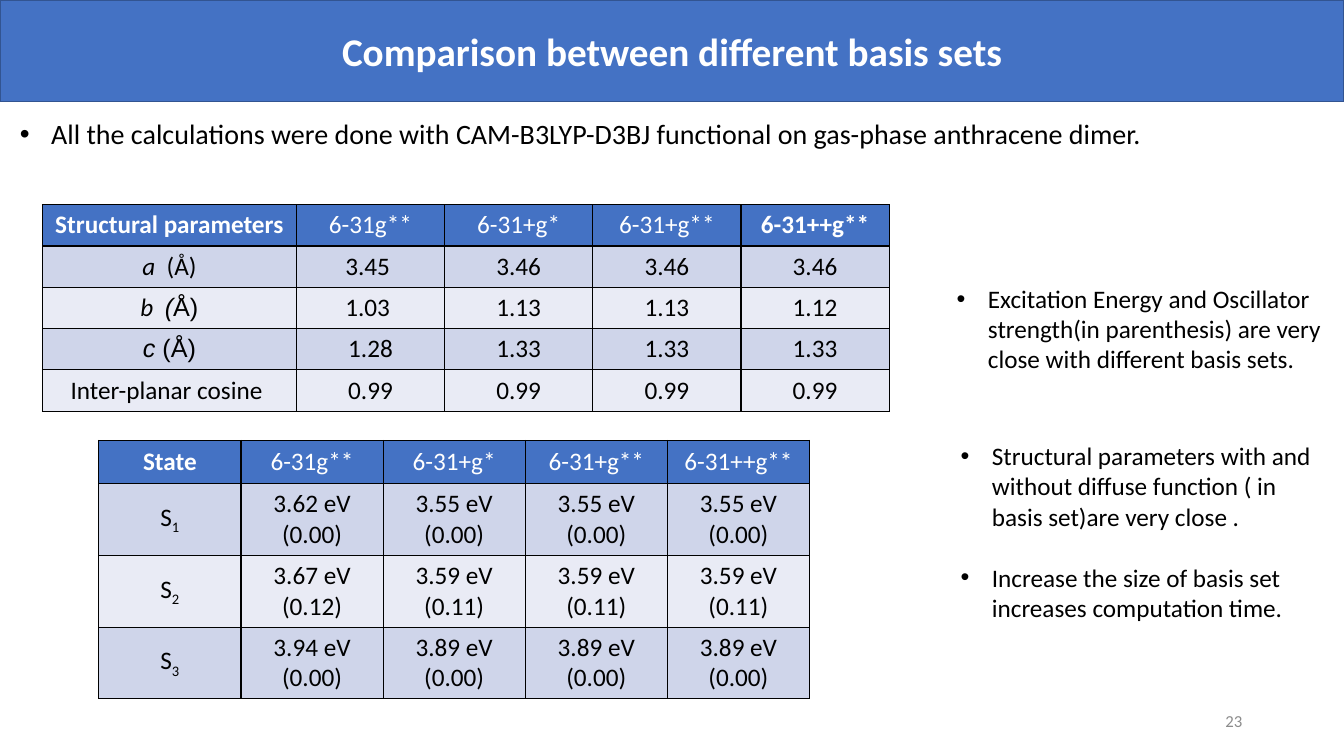
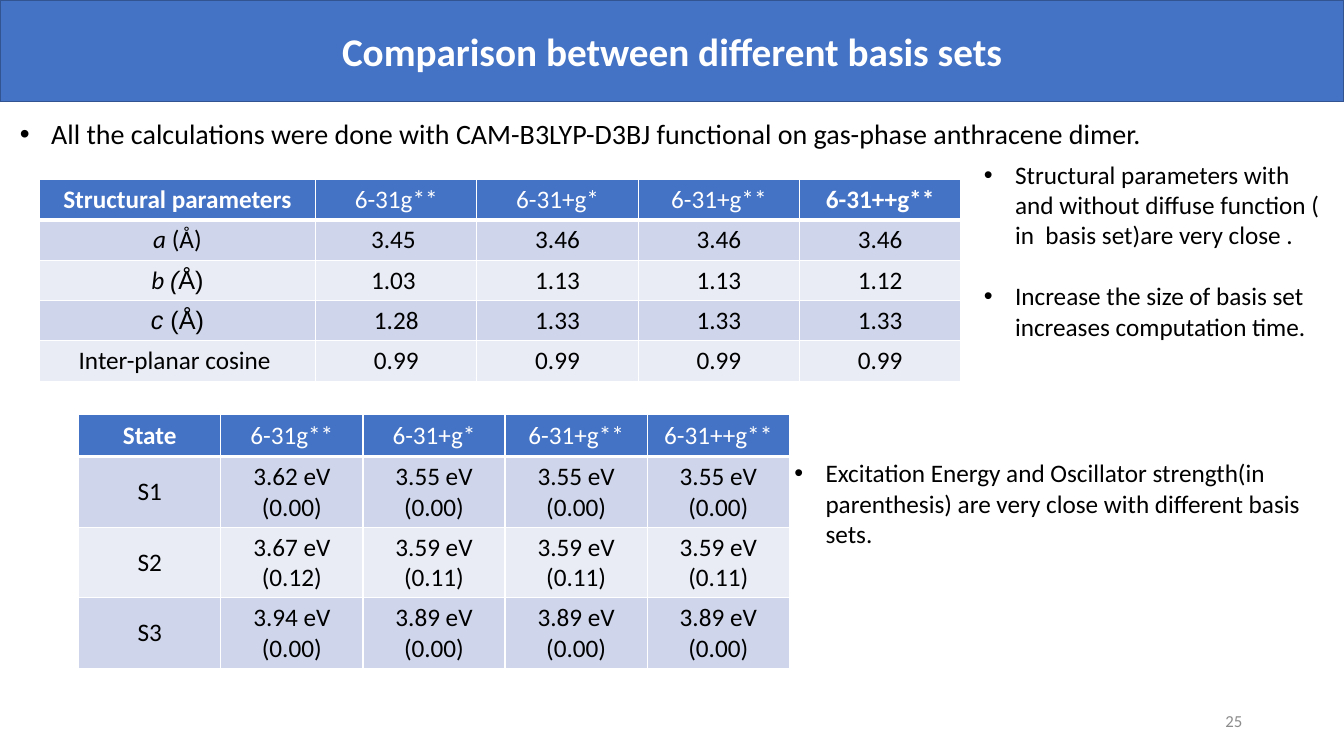
from dataclasses import dataclass
from typing import NamedTuple, Sequence, Union

from lxml import etree
from pptx import Presentation, util as u
from pptx.dml.color import RGBColor
from pptx.enum import shapes, text
from pptx.oxml import ns

EMU_PER_PX = 9144  # 100 px to the inch
SLIDE_WIDTH, SLIDE_HEIGHT = 1333, 750
BLANK_LAYOUT = 6

BLUE, DARK_BLUE = "4472C4", "325491"
BAND_DARK, BAND_LIGHT = "CFD5EA", "E9EBF5"
WHITE, BLACK, GREY = "FFFFFF", "000000", "8C8C8C"
BODY_FONT, SYMBOL_FONT = "Calibri", "Arial"
BULLET_INDENT = 31
BULLET_GAP = 22

TITLE = "Comparison between different basis sets"
METHOD = ("All the calculations were done with CAM-B3LYP-D3BJ functional "
          "on gas-phase anthracene dimer.")
STRUCTURE_NOTES = (
    "Structural parameters with and without diffuse function ( in  basis set)are very close .",
    "Increase the size of basis set increases computation time.",
)
ENERGY_NOTES = (
    "Excitation Energy and Oscillator strength(in parenthesis) "
    "are very close with different basis sets.",
)


class Run(NamedTuple):
    words: str
    bold: bool = False
    italic: bool = False
    font: str = BODY_FONT
    subscript: bool = False


Line = Union[str, Sequence[Run]]


class Box(NamedTuple):
    left: int
    top: int
    width: int
    height: int


@dataclass(frozen=True)
class Grid:
    left: int
    top: int
    columns: Sequence[int]
    header_height: int
    row_height: int
    rows: Sequence[Sequence[Line]]


@dataclass(frozen=True)
class Page:
    number: int
    border: str
    header_rule: int
    structure: Grid
    energies: Grid
    structure_notes: Box
    energy_notes: Box


BASIS_SETS = ("6-31g**", "6-31+g*", "6-31+g**")


def structure_rows(gap: str) -> list[list[Line]]:
    """Geometry table; gap stands between the symbols a, b and their unit."""
    return [
        [[Run("Structural parameters", bold=True)], *BASIS_SETS, [Run("6-31++g**", bold=True)]],
        [[Run("a" + gap, italic=True), Run("(Å)")], "3.45 ", "3.46", "3.46", "3.46"],
        [[Run("b" + gap, italic=True), Run("(", italic=True, font=SYMBOL_FONT),
          Run("Å)", font=SYMBOL_FONT)], "1.03 ", "1.13", "1.13", "1.12"],
        [[Run("c ", italic=True, font=SYMBOL_FONT), Run("(Å)", font=SYMBOL_FONT)],
         "1.28", "1.33", "1.33", "1.33"],
        ["Inter-planar cosine ", *["0.99"] * 4],
    ]


def energy_rows(subscript: bool) -> list[list[Line]]:
    states = [("3.62", "3.55", "0.00"), ("3.67", "3.59", "0.11"), ("3.94", "3.89", "0.00")]
    first_strengths = ("0.00", "0.12", "0.00")
    rows: list[list[Line]] = [[[Run("State", bold=True)], *BASIS_SETS, "6-31++g**"]]
    for index, (small, large, strength) in enumerate(states):
        label = [Run("S"), Run("1", subscript=True)] if subscript else "S1"
        number = str(index + 1)
        label = [Run("S"), Run(number, subscript=True)] if subscript else "S" + number
        rows.append([label, f"{small} eV\n({first_strengths[index]})",
                     *[f"{large} eV\n({strength})"] * 3])
    return rows


PAGES = (
    Page(
        23, BLACK, 1,
        Grid(42, 203, (252, *[147] * 4), 41, 41, structure_rows("  ")),
        Grid(98, 437, [141] * 5, 43, 70, energy_rows(subscript=True)),
        Box(943, 432, 380, 192), Box(939, 276, 421, 101),
    ),
    Page(
        25, WHITE, 3,
        Grid(39, 178, (274, *[160] * 4), 40, 40, structure_rows(" ")),
        Grid(78, 411, [141] * 5, 42, 70, energy_rows(subscript=False)),
        Box(966, 153, 353, 192), Box(778, 449, 540, 101),
    ),
)


def px(length: int) -> u.Emu:
    return u.Emu(length * EMU_PER_PX)


def color(value: str) -> RGBColor:
    return RGBColor.from_string(value)


def add_bullet(paragraph) -> None:
    properties = paragraph._p.get_or_add_pPr()
    properties.set("marL", str(px(BULLET_INDENT)))
    properties.set("indent", str(-px(BULLET_INDENT)))
    etree.SubElement(properties, ns.qn("a:buFont")).set("typeface", "Arial")
    etree.SubElement(properties, ns.qn("a:buChar")).set("char", "•")


def write(frame, lines: Sequence[Line], *, size: int = 18, fill: str = BLACK,
          bold: bool = False, align=text.PP_ALIGN.LEFT, bullet: bool = False) -> None:
    """Write one paragraph for each line."""
    frame.word_wrap = True
    for index, line in enumerate(lines):
        paragraph = frame.add_paragraph() if index else frame.paragraphs[0]
        if bullet:
            add_bullet(paragraph)
            if index:
                paragraph.space_before = u.Pt(BULLET_GAP)
        paragraph.alignment = align
        for part in [Run(line)] if isinstance(line, str) else line:
            run = paragraph.add_run()
            run.text = part.words
            run.font.name = part.font
            run.font.size = u.Pt(size)
            run.font.color.rgb = color(fill)
            run.font.bold = bold or part.bold
            run.font.italic = part.italic
            if part.subscript:
                run._r.get_or_add_rPr().set("baseline", "-25000")


def add_text(slide, box: Box, lines: Sequence[Line], *, anchor=text.MSO_ANCHOR.TOP,
             **style) -> None:
    shape = slide.shapes.add_textbox(*map(px, box))
    shape.text_frame.vertical_anchor = anchor
    write(shape.text_frame, lines, **style)


def add_title_band(slide) -> None:
    band = slide.shapes.add_shape(shapes.MSO_SHAPE.RECTANGLE, 0, 0, px(SLIDE_WIDTH), px(101))
    band.shadow.inherit = False
    band.fill.solid()
    band.fill.fore_color.rgb = color(BLUE)
    band.line.color.rgb = color(DARK_BLUE)
    band.line.width = u.Pt(1)
    band.text_frame.vertical_anchor = text.MSO_ANCHOR.MIDDLE
    write(band.text_frame, [TITLE], size=28, fill=WHITE, bold=True, align=text.PP_ALIGN.CENTER)


def set_borders(cell, border: str, top: int, bottom: int) -> None:
    properties = cell._tc.get_or_add_tcPr()
    for side, width in (("L", 1), ("R", 1), ("T", top), ("B", bottom)):
        line = etree.SubElement(properties, ns.qn("a:ln" + side), w=str(u.Pt(width)))
        solid = etree.SubElement(line, ns.qn("a:solidFill"))
        etree.SubElement(solid, ns.qn("a:srgbClr")).set("val", border)


def add_grid(slide, grid: Grid, border: str, header_rule: int) -> None:
    heights = [grid.header_height] + [grid.row_height] * (len(grid.rows) - 1)
    table = slide.shapes.add_table(
        len(heights), len(grid.columns), px(grid.left), px(grid.top),
        px(sum(grid.columns)), px(sum(heights))).table
    for column, width in zip(table.columns, grid.columns):
        column.width = px(width)
    for row_index, (row, height) in enumerate(zip(table.rows, heights)):
        row.height = px(height)
        is_header = row_index == 0
        band = BLUE if is_header else BAND_DARK if row_index % 2 else BAND_LIGHT
        for cell, content in zip(row.cells, grid.rows[row_index]):
            set_borders(cell, border, top=header_rule if row_index == 1 else 1,
                        bottom=header_rule if is_header else 1)
            cell.fill.solid()
            cell.fill.fore_color.rgb = color(band)
            cell.vertical_anchor = text.MSO_ANCHOR.MIDDLE
            lines = content.split("\n") if isinstance(content, str) else [content]
            write(cell.text_frame, lines, fill=WHITE if is_header else BLACK,
                  align=text.PP_ALIGN.CENTER)


def add_page(presentation, page: Page) -> None:
    slide = presentation.slides.add_slide(presentation.slide_layouts[BLANK_LAYOUT])
    for grid in (page.structure, page.energies):
        add_grid(slide, grid, page.border, page.header_rule)
    add_title_band(slide)
    add_text(slide, Box(10, 111, 1150, 44), [METHOD], size=20, bullet=True)
    add_text(slide, page.structure_notes, STRUCTURE_NOTES, bullet=True)
    add_text(slide, page.energy_notes, ENERGY_NOTES, bullet=True)
    add_text(slide, Box(942, 695, 300, 40), [str(page.number)], size=12, fill=GREY,
             align=text.PP_ALIGN.RIGHT, anchor=text.MSO_ANCHOR.MIDDLE)


def main() -> None:
    presentation = Presentation()
    presentation.slide_width = px(SLIDE_WIDTH)
    presentation.slide_height = px(SLIDE_HEIGHT)
    for page in PAGES:
        add_page(presentation, page)
    presentation.save("out.pptx")


if __name__ == "__main__":
    main()
